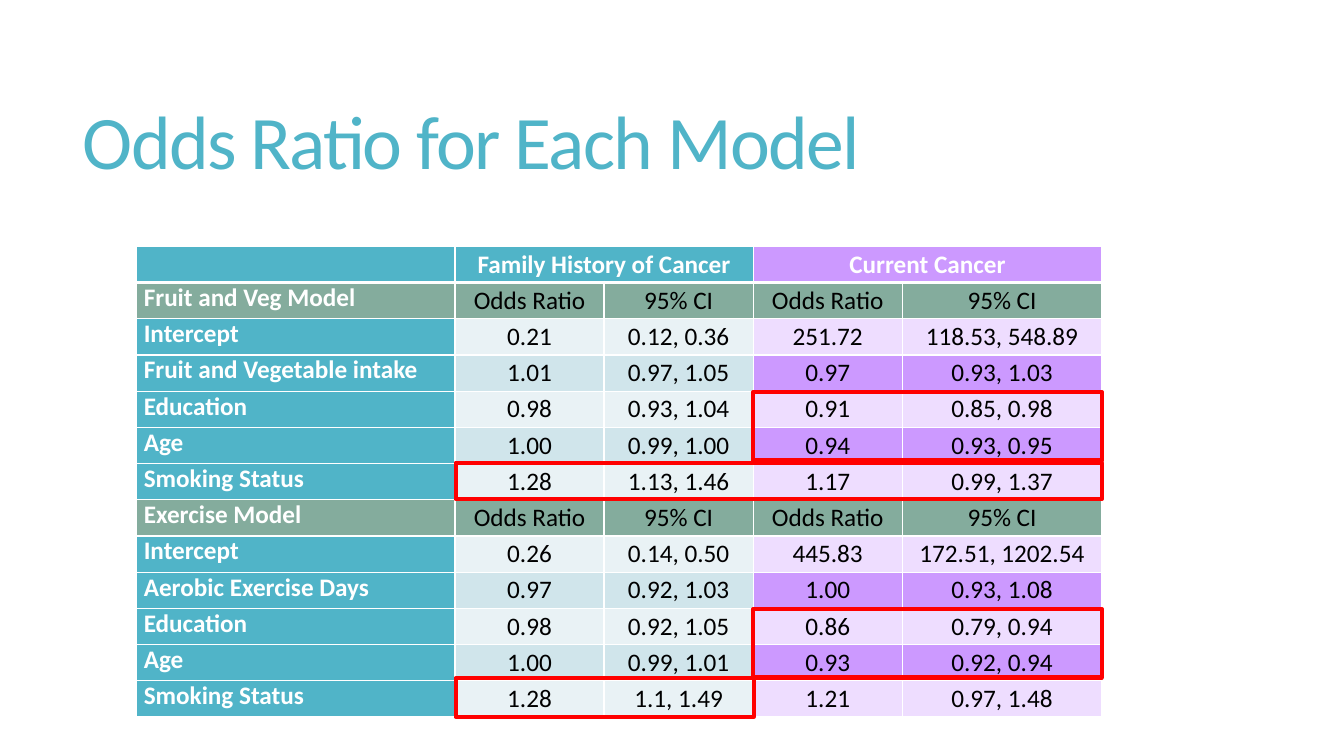
from pptx import Presentation
from pptx.dml.color import RGBColor
from pptx.enum import shapes, text
from pptx.oxml import parse_xml
from pptx.oxml import ns
from pptx.util import Pt

COLORS = {
    "teal": "50B4C8", "purple": "CC99FF", "green": "84AC9D",
    "teal light": "E9F2F5", "teal mid": "D0E5EB", "purple light": "EEDDFF",
    "white": "FFFFFF", "black": "000000", "red": "FF0000",
}
MEASURES = ["Odds Ratio", "95% CI", "Odds Ratio", "95% CI"]
MODELS = [
    ("Fruit and Veg Model", [
        ["Intercept", "0.21", "0.12, 0.36", "251.72", "118.53, 548.89"],
        ["Fruit and Vegetable intake", "1.01", "0.97, 1.05", "0.97", "0.93, 1.03"],
        ["Education", "0.98", "0.93, 1.04", "0.91", "0.85, 0.98"],
        ["Age", "1.00", "0.99, 1.00", "0.94", "0.93, 0.95"],
        ["Smoking Status", "1.28", "1.13, 1.46", "1.17", "0.99, 1.37"],
    ]),
    ("Exercise Model", [
        ["Intercept", "0.26", "0.14, 0.50", "445.83", "172.51, 1202.54"],
        ["Aerobic Exercise Days", "0.97", "0.92, 1.03", "1.00", "0.93, 1.08"],
        ["Education", "0.98", "0.92, 1.05", "0.86", "0.79, 0.94"],
        ["Age", "1.00", "0.99, 1.01", "0.93", "0.92, 0.94"],
        ["Smoking Status", "1.28", "1.1, 1.49", "1.21", "0.97, 1.48"],
    ]),
]
COLUMN_WIDTHS = [227.5, 106.5, 106.5, 106.5, 142.5]
ROW_HEIGHT = 25.86


def add_run(paragraph, words, size, color, bold=False):
    run = paragraph.add_run()
    run.text = words
    run.font.name = "Calibri"
    run.font.size = Pt(size)
    run.font.bold = bold
    run.font.color.rgb = RGBColor.from_string(COLORS[color])
    return run


def style_cell(cell, fill, bottom_width):
    """Fill the cell, trim its margins and give it white borders."""
    cell.margin_left = cell.margin_right = Pt(5.2)
    cell.margin_top = cell.margin_bottom = 0
    cell.fill.solid()
    cell.fill.fore_color.rgb = RGBColor.from_string(COLORS[fill])
    properties = cell._tc.get_or_add_tcPr()
    widths = {"lnL": 1, "lnR": 1, "lnT": 1, "lnB": bottom_width}
    for index, (side, width) in enumerate(widths.items()):
        properties.insert(index, parse_xml(
            f'<a:{side} {ns.nsdecls("a")} w="{Pt(width)}"><a:solidFill>'
            f'<a:srgbClr val="{COLORS["white"]}"/></a:solidFill></a:{side}>'))


presentation = Presentation()
presentation.slide_width = Pt(960)
presentation.slide_height = Pt(540)
slide = presentation.slides.add_slide(presentation.slide_layouts[6])

# Title
title = slide.shapes.add_textbox(Pt(52), Pt(39.5), Pt(848), Pt(130.5))
title.text_frame.word_wrap = True
title.text_frame.vertical_anchor = text.MSO_ANCHOR.MIDDLE
paragraph = title.text_frame.paragraphs[0]
paragraph.line_spacing = 0.85
run = add_run(paragraph, "Odds Ratio for Each Model", 54, "teal")
run.font._element.set("spc", "-120")

# Rows of the table: cell texts and cell fills
rows = [(["", "Family History of Cancer", "", "Current Cancer", ""],
         ["teal"] * 3 + ["purple"] * 2)]
for model, estimates in MODELS:
    rows.append(([model] + MEASURES, ["green"] * 5))
    for index, estimate in enumerate(estimates):
        history, current = [("teal light", "purple light"), ("teal mid", "purple")][index % 2]
        rows.append((estimate, ["teal", history, history, current, current]))

# Odds ratio table
table = slide.shapes.add_table(
    len(rows), len(COLUMN_WIDTHS), Pt(97.5), Pt(176),
    Pt(sum(COLUMN_WIDTHS)), Pt(ROW_HEIGHT * len(rows))).table
table.first_row = table.horz_banding = False
for column, width in zip(table.columns, COLUMN_WIDTHS):
    column.width = Pt(width)
for row_index, (words, fills) in enumerate(rows):
    table.rows[row_index].height = Pt(ROW_HEIGHT)
    for column_index, (word, fill) in enumerate(zip(words, fills)):
        cell = table.cell(row_index, column_index)
        style_cell(cell, fill, 3 if row_index == 0 else 1)
        paragraph = cell.text_frame.paragraphs[0]
        if column_index > 0:
            cell.vertical_anchor = text.MSO_ANCHOR.MIDDLE
            paragraph.alignment = text.PP_ALIGN.CENTER
        if word:
            heading = row_index == 0 or column_index == 0
            add_run(paragraph, word, 18, "white" if heading else "black", heading)
for first in (1, 3):
    table.cell(0, first).merge(table.cell(0, first + 1))

# Red frames around the notable results
FRAMES = [(538, 280, 249, 49), (325.5, 330.5, 461.5, 26),
          (325.5, 484.5, 213, 27.5), (538, 435, 249, 49)]
for frame in FRAMES:
    shape = slide.shapes.add_shape(shapes.MSO_SHAPE.RECTANGLE, *map(Pt, frame))
    shape.shadow.inherit = False
    shape.fill.background()
    shape.line.color.rgb = RGBColor.from_string(COLORS["red"])
    shape.line.width = Pt(3)

presentation.save("out.pptx")
